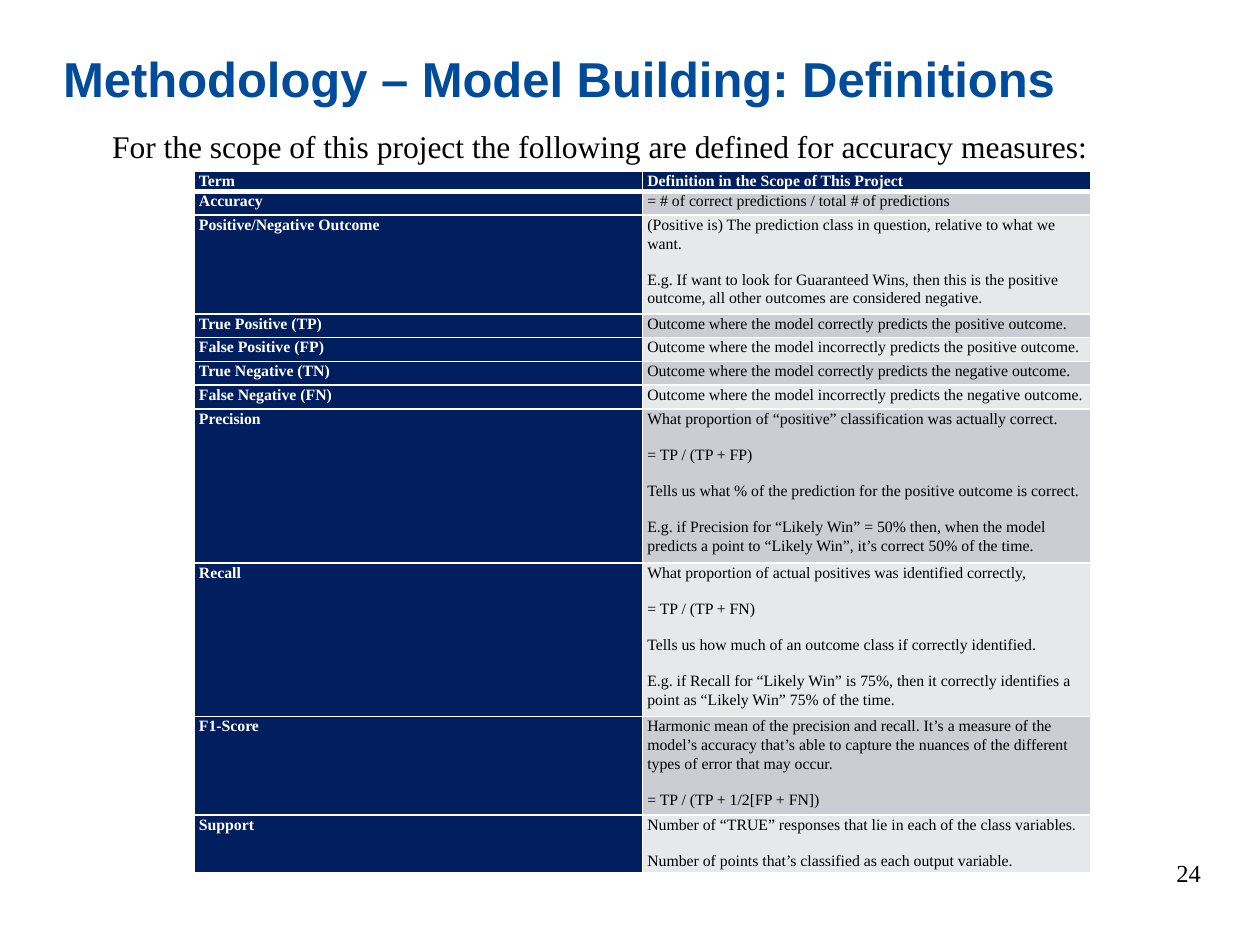
from collections import namedtuple
from dataclasses import dataclass

from lxml.etree import SubElement
from pptx import Presentation
from pptx.dml.color import RGBColor
from pptx.enum.text import MSO_ANCHOR, MSO_AUTO_SIZE, PP_ALIGN
from pptx.oxml.ns import qn
from pptx.util import Cm, Pt

Box = namedtuple("Box", "left top width height")


@dataclass(frozen=True)
class Theme:
    heading_font: str = "Arial"
    body_font: str = "Times New Roman"
    blue: str = "004C9B"
    navy: str = "011E5E"
    black: str = "000000"
    white: str = "FFFFFF"
    bands: tuple = ("CCCDD2", "E7E8EA")
    title_size: float = 28
    intro_size: float = 18
    number_size: float = 14
    table_size: float = 9
    rule: float = 1
    header_rule: float = 3


THEME = Theme()

HEADER = ("Term", "Definition in the Scope of This Project")
DEFINITIONS = [
    (0.48, "Accuracy", ["= # of correct predictions / total # of predictions"]),
    (1.42, "Positive/Negative Outcome", [
        "(Positive is) The prediction class in question, relative to what we want.",
        "E.g. If want to look for Guaranteed Wins, then this is the positive outcome, "
        "all other outcomes are considered negative."]),
    *[(0.48, f"{truth} {sign} ({truth[0]}{sign[0]})",
       [f"Outcome where the model {how} predicts the {sign.lower()} outcome."])
      for sign in ("Positive", "Negative")
      for truth, how in (("True", "correctly"), ("False", "incorrectly"))],
    (2.51, "Precision", [
        "What proportion of “positive” classification was actually correct.",
        "= TP / (TP + FP)",
        "Tells us what % of the prediction for the positive outcome is correct.",
        "E.g. if Precision for “Likely Win” = 50% then, when the model predicts "
        "a point to “Likely Win”, it’s correct 50% of the time."]),
    (2.51, "Recall", [
        "What proportion of actual positives was identified correctly,",
        "= TP / (TP + FN)",
        "Tells us how much of an outcome class if correctly identified.",
        "E.g. if Recall for “Likely Win” is 75%, then it correctly identifies "
        "a point as “Likely Win” 75% of the time."]),
    (1.42, "F1-Score", [
        "Harmonic mean of the precision and recall. It’s a measure of the model’s accuracy "
        "that’s able to capture the nuances of the different types of error that may occur.",
        "= TP / (TP + 1/2[FP + FN])"]),
    (1.17, "Support", [
        "Number of “TRUE” responses that lie in each of the class variables.",
        "Number of points that’s classified as each output variable."]),
]


def write(frame, lines, *, size, color=THEME.black, font=THEME.body_font, bold=False,
          align=PP_ALIGN.LEFT, spacing=None, after=None):
    for index, line in enumerate(lines):
        paragraph = frame.paragraphs[0] if index == 0 else frame.add_paragraph()
        paragraph.alignment = align
        paragraph.line_spacing = spacing
        paragraph.space_after = after
        run = paragraph.add_run()
        run.text = line
        run.font.name = font
        run.font.size = Pt(size)
        run.font.bold = bold
        run.font.color.rgb = RGBColor.from_string(color)


def place_title(slide, box):
    title = slide.shapes.title
    title.left, title.top, title.width, title.height = box
    frame = title.text_frame
    frame.auto_size = MSO_AUTO_SIZE.NONE
    frame.vertical_anchor = MSO_ANCHOR.TOP
    write(frame, ["Methodology – Model Building: Definitions"], size=THEME.title_size,
          color=THEME.blue, font=THEME.heading_font, bold=True, spacing=Pt(26.6))


def place_intro(slide, box):
    frame = slide.shapes.add_textbox(*box).text_frame
    frame.word_wrap = False
    frame.auto_size = MSO_AUTO_SIZE.SHAPE_TO_FIT_TEXT
    write(frame, ["For the scope of this project the following are defined for accuracy measures:"],
          size=THEME.intro_size)


def place_page_number(slide, box):
    frame = slide.shapes.add_textbox(*box).text_frame
    frame.word_wrap = True
    frame.vertical_anchor = MSO_ANCHOR.MIDDLE
    write(frame, ["24"], size=THEME.number_size, align=PP_ALIGN.RIGHT)


def add_borders(cell, bottom, top):
    properties = cell._tc.get_or_add_tcPr()
    widths = {"a:lnL": THEME.rule, "a:lnR": THEME.rule, "a:lnT": top, "a:lnB": bottom}
    for side, width in widths.items():
        line = SubElement(properties, qn(side), w=str(Pt(width)))
        fill = SubElement(line, qn("a:solidFill"))
        SubElement(fill, qn("a:srgbClr"), val=THEME.white)


def fill_cell(cell, lines, fill, *, color, bold, top=THEME.rule, bottom=THEME.rule):
    cell.margin_left = cell.margin_right = Cm(0.1)
    cell.margin_top = cell.margin_bottom = 0
    add_borders(cell, bottom, top)
    cell.fill.solid()
    cell.fill.fore_color.rgb = RGBColor.from_string(fill)
    write(cell.text_frame, lines, size=THEME.table_size, color=color, bold=bold,
          spacing=1.07, after=Pt(10))


def place_definitions(slide, box):
    holder = slide.shapes.add_table(len(DEFINITIONS) + 1, len(HEADER), *box)
    table = holder.table
    for column in table.columns:
        column.width = box.width // len(HEADER)
    table.rows[0].height = Cm(0.23)
    for index, heading in enumerate(HEADER):
        fill_cell(table.cell(0, index), [heading], THEME.navy, color=THEME.white, bold=True,
                  bottom=THEME.header_rule)
    for index, (height, term, meaning) in enumerate(DEFINITIONS):
        row = index + 1
        top = THEME.header_rule if index == 0 else THEME.rule
        table.rows[row].height = Cm(height)
        fill_cell(table.cell(row, 0), [term], THEME.navy, color=THEME.white, bold=True, top=top)
        fill_cell(table.cell(row, 1), meaning, THEME.bands[index % 2], color=THEME.black,
                  bold=False, top=top)
    holder.height = box.height


def main():
    deck = Presentation()
    deck.slide_width, deck.slide_height = Cm(25.4), Cm(19.05)
    slide = deck.slides.add_slide(deck.slide_layouts[5])
    place_page_number(slide, Box(Cm(22.63), Cm(17.09), Cm(1.83), Cm(1.02)))
    place_title(slide, Box(Cm(1.02), Cm(1.09), Cm(23.47), Cm(2.97)))
    place_definitions(slide, Box(Cm(3.91), Cm(3.45), Cm(18.08), Cm(14.02)))
    place_intro(slide, Box(Cm(2.01), Cm(2.44), Cm(20.22), Cm(1.02)))
    deck.save("out.pptx")


if __name__ == "__main__":
    main()
